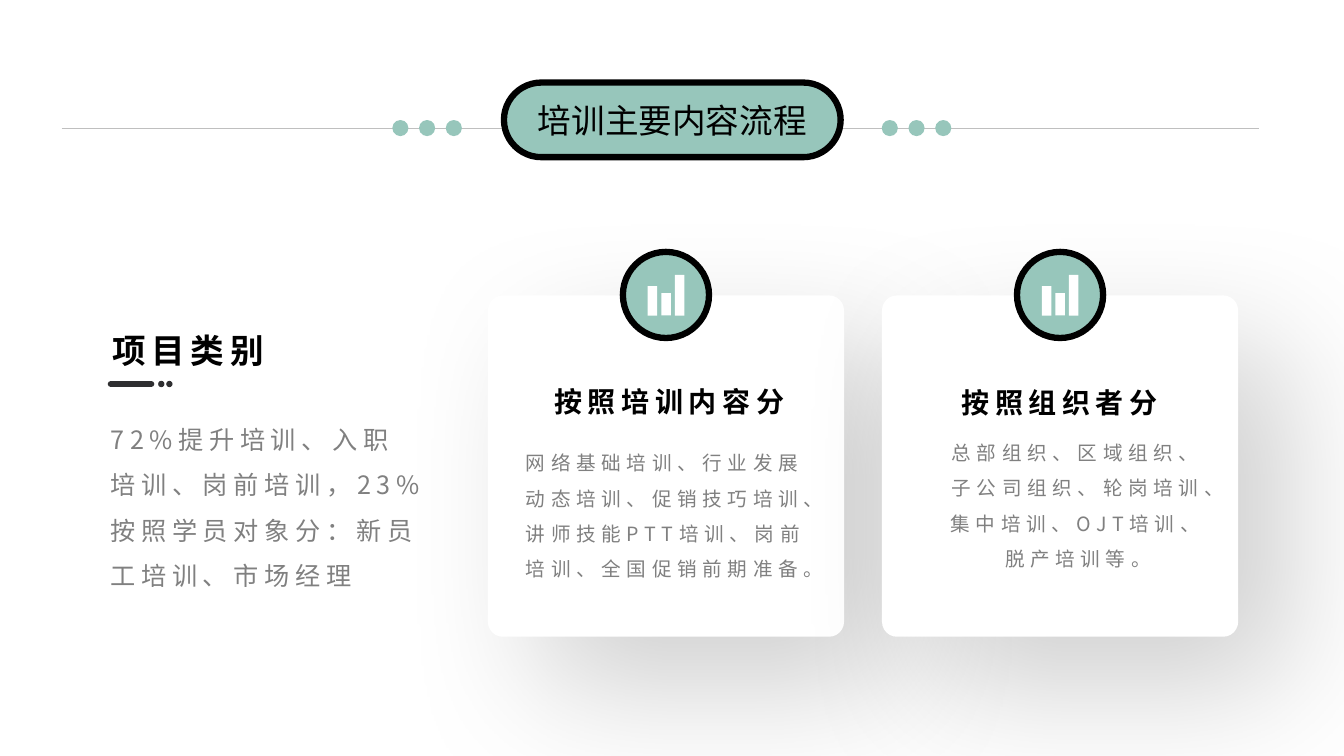
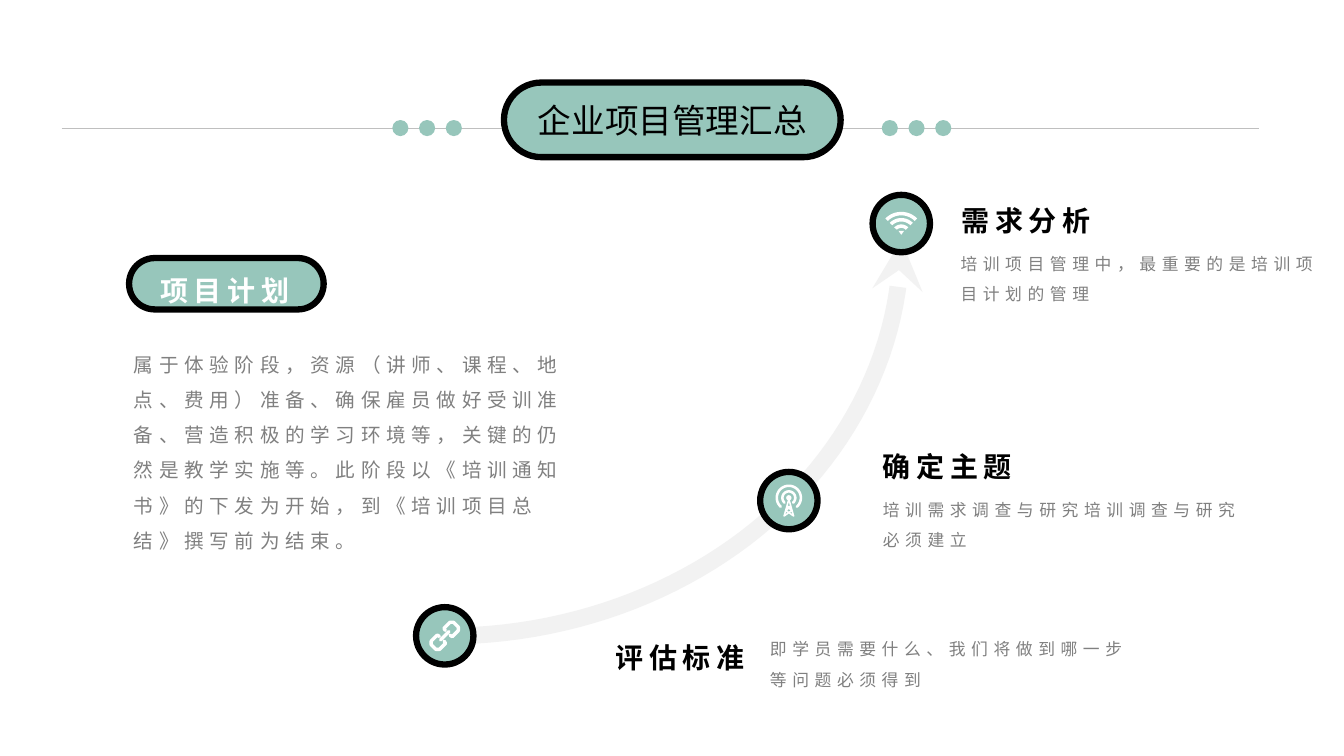
import math
from dataclasses import dataclass
from typing import Callable

from lxml import etree
from pptx import Presentation
from pptx.dml.color import RGBColor
from pptx.enum import shapes, text
from pptx.oxml import ns
from pptx.util import Pt

FONT = "Noto Sans CJK JP"
COLORS = {
    "teal": "97C6BB",
    "black": "000000",
    "white": "FFFFFF",
    "gray": "808080",
    "rule": "BFBFBF",
    "dash": "2F2F31",
    "arrow": "F2F2F2",
}
SHAPE = shapes.MSO_SHAPE
OUTLINE = 4.5


@dataclass
class Label:
    words: str
    left: float
    top: float
    width: float
    height: float
    size: float
    color: str = "gray"
    bold: bool = False
    centered: bool = False


@dataclass
class Card:
    left: float
    heading: Label
    body: Label


@dataclass
class Milestone:
    x: float
    y: float
    draw_icon: Callable
    heading: Label
    body: Label


def rgb(name: str) -> RGBColor:
    return RGBColor.from_string(COLORS[name])


def heading(words: str, left: float, top: float, width: float,
            size: float = 20, height: float = 39.6, color: str = "black") -> Label:
    return Label(words, left, top, width, height, size, color, bold=True)


def detail(words: str, left: float, top: float) -> Label:
    return Label(words, left, top, 281, 48, 12)


def add_figure(slide, kind, left: float, top: float, width: float, height: float,
               fill: str, outline: str = ""):
    shape = slide.shapes.add_shape(kind, Pt(left), Pt(top), Pt(width), Pt(height))
    shape.shadow.inherit = False
    shape.fill.solid()
    shape.fill.fore_color.rgb = rgb(fill)
    if outline:
        shape.line.color.rgb = rgb(outline)
        shape.line.width = Pt(OUTLINE)
    else:
        shape.line.fill.background()
    return shape


def add_circle(slide, x: float, y: float, diameter: float, fill: str, outline: str = ""):
    return add_figure(slide, SHAPE.OVAL, x - diameter / 2, y - diameter / 2,
                      diameter, diameter, fill, outline)


def add_pill(slide, left: float, top: float, width: float, height: float):
    pill = add_figure(slide, SHAPE.ROUNDED_RECTANGLE, left, top, width, height, "teal", "black")
    pill.adjustments[0] = 0.5
    return pill


def add_rule(slide, left: float, right: float, y: float, color: str, width: float,
             rounded: bool = False) -> None:
    rule = slide.shapes.add_connector(shapes.MSO_CONNECTOR.STRAIGHT,
                                      Pt(left), Pt(y), Pt(right), Pt(y))
    rule.line.color.rgb = rgb(color)
    rule.line.width = Pt(width)
    properties = rule.element.spPr
    if rounded:
        properties.find(ns.qn("a:ln")).set("cap", "rnd")
    etree.SubElement(properties, ns.qn("a:effectLst"))


def add_stroke(slide, points: list, color: str, width: float,
               rounded: bool = False, arrow: bool = False) -> None:
    vertices = [(Pt(x), Pt(y)) for x, y in points]
    builder = slide.shapes.build_freeform(*vertices[0])
    builder.add_line_segments(vertices[1:], close=False)
    stroke = builder.convert_to_shape()
    stroke.shadow.inherit = False
    stroke.fill.background()
    stroke.line.color.rgb = rgb(color)
    stroke.line.width = Pt(width)
    line = stroke.element.spPr.find(ns.qn("a:ln"))
    if rounded:
        line.set("cap", "rnd")
    etree.SubElement(line, ns.qn("a:round"))
    if arrow:
        etree.SubElement(line, ns.qn("a:headEnd"), type="stealth")


def arc_points(x: float, y: float, radius_x: float, radius_y: float,
               start: float, end: float, steps: int = 48) -> list:
    angles = [math.radians(start + (end - start) * i / steps) for i in range(steps + 1)]
    return [(x + radius_x * math.cos(a), y + radius_y * math.sin(a)) for a in angles]


def write_run(paragraph, words: str, size: float, color: str,
              bold: bool = False, spacing: int = 0) -> None:
    run = paragraph.add_run()
    run.text = words
    run.font.size = Pt(size)
    run.font.bold = bold
    run.font.color.rgb = rgb(color)
    run.font.name = FONT
    properties = run.font._element
    properties.set("lang", "zh-CN")
    if spacing:
        properties.set("spc", str(spacing * 100))
    etree.SubElement(properties, ns.qn("a:ea"), typeface=FONT)


def add_label(slide, label: Label) -> None:
    box = slide.shapes.add_textbox(Pt(label.left), Pt(label.top),
                                   Pt(label.width), Pt(label.height))
    frame = box.text_frame
    frame.word_wrap = True
    frame.auto_size = text.MSO_AUTO_SIZE.SHAPE_TO_FIT_TEXT
    paragraph = frame.paragraphs[0]
    paragraph.line_spacing = 1.5
    paragraph.alignment = text.PP_ALIGN.CENTER if label.centered else text.PP_ALIGN.LEFT
    write_run(paragraph, label.words, label.size, label.color, label.bold, spacing=4)


def add_titled_slide(presentation, title: str):
    slide = presentation.slides.add_slide(presentation.slide_layouts[6])
    add_rule(slide, 44, 899.5, 91.5, "rule", 0.25)
    pill = add_pill(slide, 360, 59, 240.5, 53.3)
    pill.text_frame.vertical_anchor = text.MSO_ANCHOR.MIDDLE
    paragraph = pill.text_frame.paragraphs[0]
    paragraph.alignment = text.PP_ALIGN.CENTER
    write_run(paragraph, title, 24, "black")
    for first_x in (286, 635.6):
        for i in range(3):
            add_circle(slide, first_x + 19.1 * i, 91.5, 11.5, "teal")
    return slide


def add_card_panel(slide, left: float) -> None:
    panel = add_figure(slide, SHAPE.ROUNDED_RECTANGLE, left, 211, 254.4, 243.8, "white")
    panel.adjustments[0] = 0.044
    effects = panel.element.spPr.find(ns.qn("a:effectLst"))
    shadow = etree.SubElement(effects, ns.qn("a:outerShdw"), blurRad=str(Pt(100)),
                              dist=str(Pt(51)), dir=str(45 * 60000), rotWithShape="0")
    color = etree.SubElement(shadow, ns.qn("a:srgbClr"), val=COLORS["black"])
    etree.SubElement(color, ns.qn("a:alpha"), val="18000")


def draw_bars(slide, x: float, bottom: float) -> None:
    for i, height in enumerate((21, 16, 29)):
        add_figure(slide, SHAPE.RECTANGLE, x - 13 + 9.7 * i, bottom - height,
                   6.8, height, "white")


def draw_link(slide, x: float, y: float) -> None:
    half = [(-3, 2.4), (-3.4, 4.2), (-9.5, 4.2), (-11.3, 2.4),
            (-11.3, -2.4), (-9.5, -4.2), (-3.4, -4.2), (-3, -2.4)]
    opposite = [(-u, -v) for u, v in half]
    root = math.sqrt(2)
    for outline in (half, opposite, [(-4.2, 0), (4.2, 0)]):
        points = [(x + (u + v) / root, y + (v - u) / root) for u, v in outline]
        add_stroke(slide, points, "white", 2.4, rounded=True)


def draw_antenna(slide, x: float, y: float) -> None:
    hub = y - 2
    for radius in (8.6, 4.6):
        add_stroke(slide, arc_points(x, hub, radius, radius, 132, 408), "white", 1.8, rounded=True)
    add_circle(slide, x, hub, 3.8, "white")
    tower = [(-3.4, 13), (0, 1), (3.4, 13), (-2.2, 9), (1.5, 6.3), (-1.5, 6.3), (2.2, 9), (-3.4, 13)]
    add_stroke(slide, [(x + u, hub + v) for u, v in tower], "white", 1.1)


def draw_wifi(slide, x: float, y: float) -> None:
    base = y + 7.7
    for radius in (14.8, 10.4, 5.8):
        add_stroke(slide, arc_points(x, base, radius, radius, 225, 315), "white", 2.5)
    add_figure(slide, SHAPE.FLOWCHART_MERGE, x - 2, base - 2.5, 4, 2.8, "white")


def build_categories(presentation) -> None:
    slide = add_titled_slide(presentation, "培训主要内容流程")
    cards = [
        Card(348.5, heading("按照培训内容分", 388.8, 259.2, 190),
             Label("网络基础培训、行业发展动态培训、促销技巧培训、讲师技能PTT培训、岗前培训、全国促销前期准备。",
                   368.6, 310.3, 221.8, 106.6, 14)),
        Card(630, heading("按照组织者分", 679.7, 259.9, 161.3),
             Label("总部组织、区域组织、子公司组织、轮岗培训、集中培训、OJT培训、脱产培训等。",
                   666.7, 303.1, 206.6, 106.6, 14, centered=True)),
    ]
    for card in cards:
        add_card_panel(slide, card.left)
    for card in cards:
        center = card.left + 127.2
        add_circle(slide, center, 210.7, 61.5, "teal", "black")
        draw_bars(slide, center, 225.4)
        add_label(slide, card.heading)
        add_label(slide, card.body)
    add_rule(slide, 79.2, 108, 274.3, "dash", OUTLINE, rounded=True)
    for x in (115.2, 121):
        add_circle(slide, x, 274.3, OUTLINE, "dash")
    add_label(slide, heading("项目类别", 73.4, 217.4, 192.2, 24, 46))
    add_label(slide, Label("72%提升培训、入职培训、岗前培训，23%按照学员对象分：新员工培训、市场经理",
                           72, 288.7, 235.4, 134.6, 18))


def build_summary(presentation) -> None:
    slide = add_titled_slide(presentation, "企业项目管理汇总")
    milestones = [
        Milestone(317.7, 454.2, draw_link, heading("评估标准", 432.7, 442, 134.6),
                  detail("即学员需要什么、我们将做到哪一步等问题必须得到", 542.9, 445.7)),
        Milestone(563.5, 357.6, draw_antenna, heading("确定主题", 623.5, 305.3, 134.6),
                  detail("培训需求调查与研究培训调查与研究必须建立", 623.5, 346.3)),
        Milestone(643.8, 159.7, draw_wifi, heading("需求分析", 679.7, 129.6, 134.6),
                  detail("培训项目管理中，最重要的是培训项目计划的管理", 679, 170.6)),
    ]
    add_stroke(slide, arc_points(317.7, 171.4, 326, 283, 0, 90), "arrow", 12, arrow=True)
    for milestone in milestones:
        add_circle(slide, milestone.x, milestone.y, 41, "teal", "black")
        milestone.draw_icon(slide, milestone.x, milestone.y)
        add_label(slide, milestone.heading)
        add_label(slide, milestone.body)
    add_pill(slide, 92.2, 184.3, 139, 36.7)
    add_label(slide, heading("项目计划", 107.3, 180, 123.8, color="white"))
    add_label(slide, Label("属于体验阶段，资源（讲师、课程、地点、费用）准备、确保雇员做好受训准备、"
                           "营造积极的学习环境等，关键的仍然是教学实施等。此阶段以《培训通知书》的下发为开始，"
                           "到《培训项目总结》撰写前为结束。", 88.6, 239.8, 337, 157, 14))


def main() -> None:
    presentation = Presentation()
    presentation.slide_width = Pt(960)
    presentation.slide_height = Pt(540)
    build_categories(presentation)
    build_summary(presentation)
    presentation.save("out.pptx")


if __name__ == "__main__":
    main()
